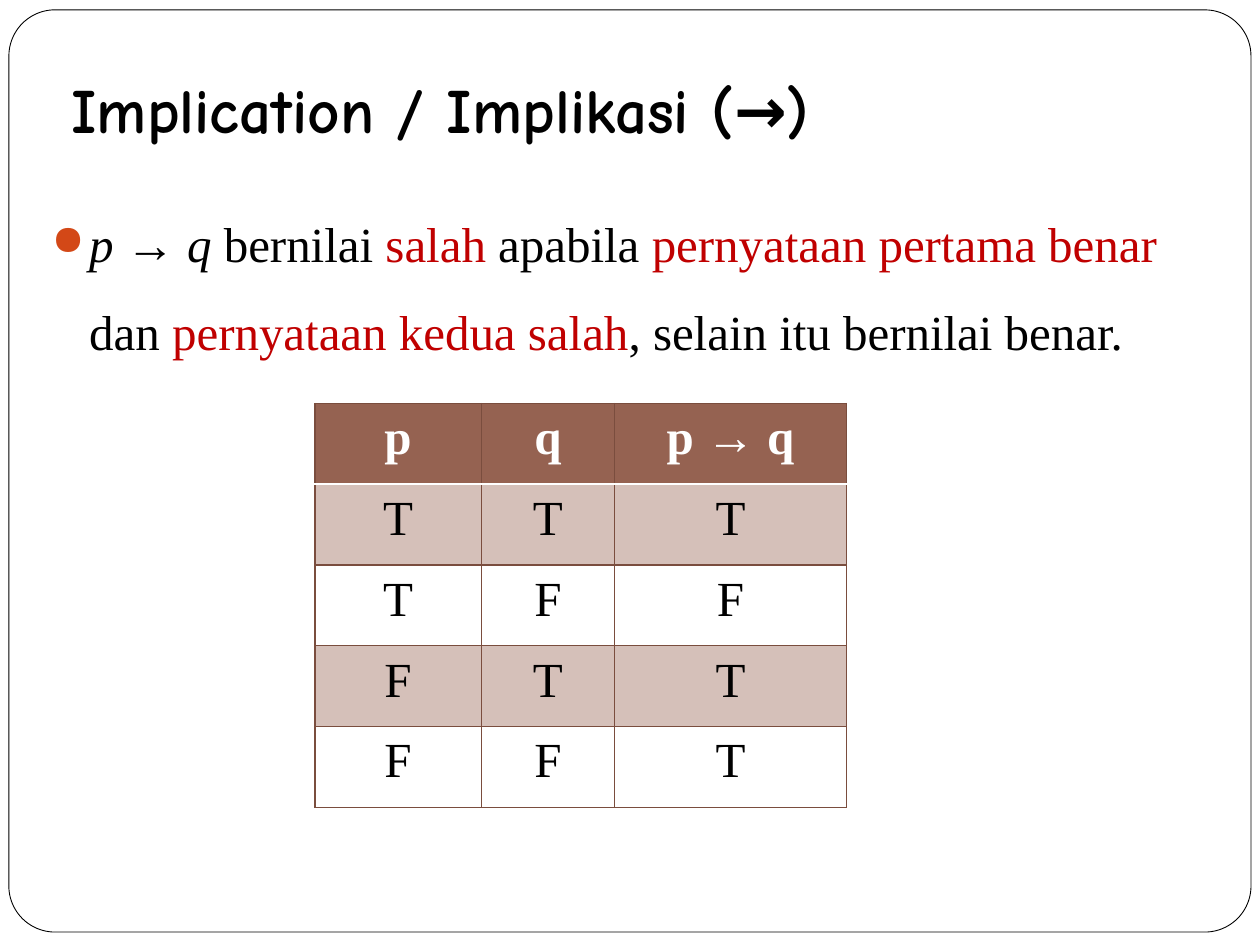
from lxml import etree
from pptx import Presentation
from pptx.dml.color import RGBColor
from pptx.enum.shapes import MSO_SHAPE
from pptx.enum.text import MSO_ANCHOR, PP_ALIGN
from pptx.oxml.ns import qn
from pptx.util import Cm, Pt

ROUNDED = MSO_SHAPE.ROUNDED_RECTANGLE
BOTTOM = MSO_ANCHOR.BOTTOM
CENTER = PP_ALIGN.CENTER

COLORS = {
    "black": "000000",
    "white": "FFFFFF",
    "red": "C00000",
    "bullet": "D34817",
    "header": "956251",
    "band": "D5C0B9",
    "border": "7A4D3E",
}
TITLE_FONT = "Comic Neue"
BODY_FONT = "Times New Roman"

STATEMENT = [
    ("p ", "black", "italic"),
    ("→ ", "black", "bold"),
    ("q ", "black", "italic"),
    ("bernilai ", "black", None),
    ("salah", "red", None),
    (" apabila ", "black", None),
    ("pernyataan pertama benar ", "red", None),
    ("dan ", "black", None),
    ("pernyataan kedua salah", "red", None),
    (", selain itu bernilai benar.", "black", None),
]
TRUTH_TABLE = [
    ("p", "q", "p → q"),
    ("T", "T", "T"),
    ("T", "F", "F"),
    ("F", "T", "T"),
    ("F", "F", "T"),
]
COLUMN_WIDTHS = [3.35, 2.69, 4.67]
ROW_HEIGHT = 1.63


def color(name):
    return RGBColor.from_string(COLORS[name])


def set_font(font, name, size, color_name, bold=False):
    font.name = name
    font.size = Pt(size)
    font.bold = bold
    font.color.rgb = color(color_name)


def add_frame(slide):
    frame = slide.shapes.add_shape(ROUNDED, Cm(0.18), Cm(0.2), Cm(25.04), Cm(18.59))
    frame.adjustments[0] = 0.05
    frame.shadow.inherit = False
    frame.fill.solid()
    frame.fill.fore_color.rgb = color("white")
    frame.line.color.rgb = color("black")
    frame.line.width = Pt(0.5)


def add_text_box(slide, left, top, width, height):
    box = slide.shapes.add_textbox(Cm(left), Cm(top), Cm(width), Cm(height))
    box.text_frame.word_wrap = True
    return box.text_frame


def add_title(slide, text):
    text_frame = add_text_box(slide, 1.19, 1.19, 22.94, 2.01)
    text_frame.vertical_anchor = BOTTOM
    text_frame.margin_bottom = Cm(0.25)
    paragraph = text_frame.paragraphs[0]
    paragraph.text = text
    set_font(paragraph.font, TITLE_FONT, 36, "black", bold=True)


def add_bullet(paragraph, indent):
    properties = paragraph._p.get_or_add_pPr()
    properties.set("marL", str(Cm(indent)))
    properties.set("indent", str(-Cm(indent)))
    bullet_color = etree.SubElement(properties, qn("a:buClr"))
    etree.SubElement(bullet_color, qn("a:srgbClr"), val=COLORS["bullet"])
    etree.SubElement(properties, qn("a:buSzPct"), val="85000")
    etree.SubElement(properties, qn("a:buChar"), char="●")


def add_statement(slide, parts):
    paragraph = add_text_box(slide, 0.79, 3.58, 23.62, 3.89).paragraphs[0]
    paragraph.line_spacing = 1.5
    add_bullet(paragraph, 0.76)
    for text, color_name, style in parts:
        run = paragraph.add_run()
        run.text = text
        set_font(run.font, BODY_FONT, 28, color_name, bold=style == "bold")
        run.font.italic = style == "italic"


def add_border(cell, side, color_name, width):
    properties = cell._tc.get_or_add_tcPr()
    line = etree.SubElement(properties, qn(f"a:ln{side}"), w=str(Pt(width)))
    fill = etree.SubElement(line, qn("a:solidFill"))
    etree.SubElement(fill, qn("a:srgbClr"), val=COLORS[color_name])


def format_cell(cell, text, row_index):
    is_header = row_index == 0
    cell.margin_left = cell.margin_right = Cm(0.3)
    cell.margin_top = cell.margin_bottom = Cm(0.15)
    for side in "LRTB":
        is_divider = (row_index, side) in ((0, "B"), (1, "T"))
        add_border(cell, side, *(("white", 1) if is_divider else ("border", 0.75)))
    if is_header or row_index % 2:
        cell.fill.solid()
        cell.fill.fore_color.rgb = color("header" if is_header else "band")
    else:
        cell.fill.background()
    paragraph = cell.text_frame.paragraphs[0]
    paragraph.text = text
    paragraph.alignment = CENTER
    set_font(paragraph.font, BODY_FONT, 28, "white" if is_header else "black", is_header)


def add_truth_table(slide, rows):
    table = slide.shapes.add_table(
        len(rows), len(COLUMN_WIDTHS), Cm(6.35), Cm(8.13),
        Cm(sum(COLUMN_WIDTHS)), Cm(ROW_HEIGHT * len(rows)),
    ).table
    for column, width in zip(table.columns, COLUMN_WIDTHS):
        column.width = Cm(width)
    for row_index, values in enumerate(rows):
        table.rows[row_index].height = Cm(ROW_HEIGHT)
        for column_index, text in enumerate(values):
            format_cell(table.cell(row_index, column_index), text, row_index)


def main():
    presentation = Presentation()
    presentation.slide_width = Cm(25.4)
    presentation.slide_height = Cm(19.05)
    slide = presentation.slides.add_slide(presentation.slide_layouts[6])
    add_frame(slide)
    add_title(slide, "Implication / Implikasi (→)")
    add_statement(slide, STATEMENT)
    add_truth_table(slide, TRUTH_TABLE)
    presentation.save("out.pptx")


if __name__ == "__main__":
    main()
